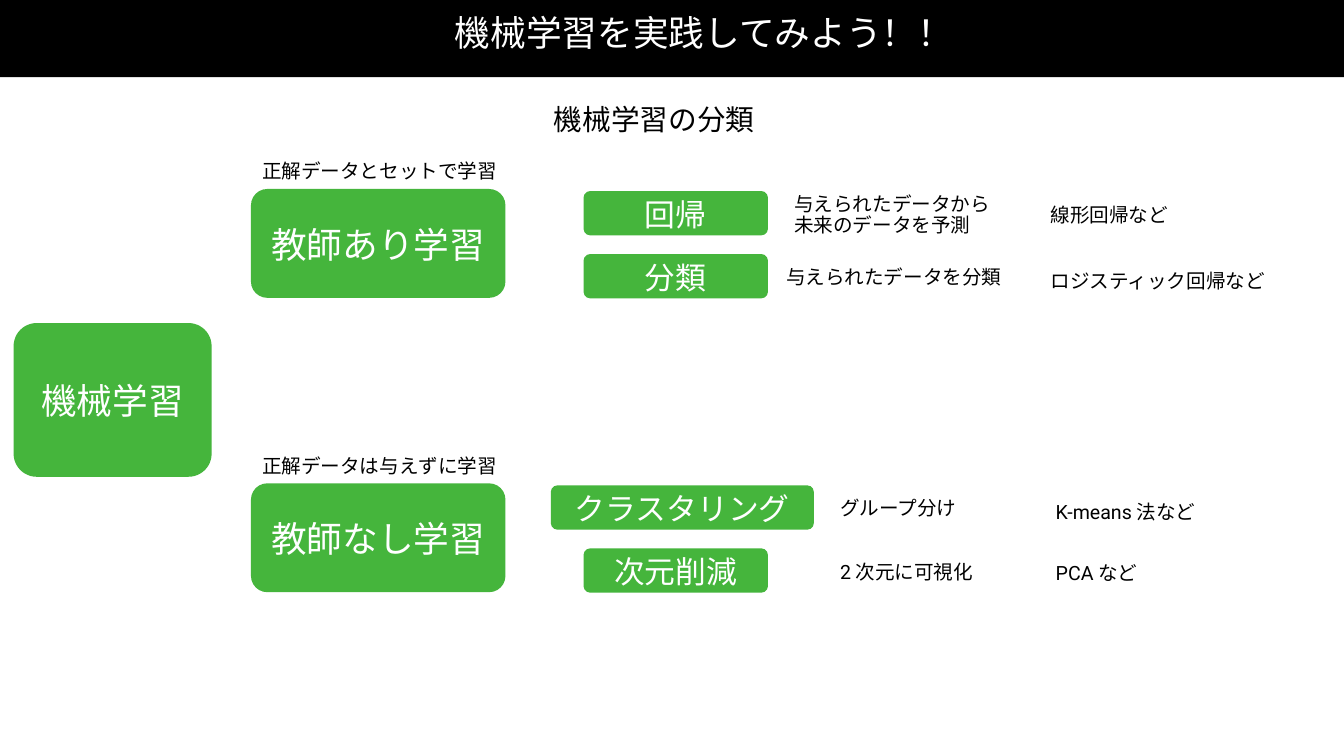
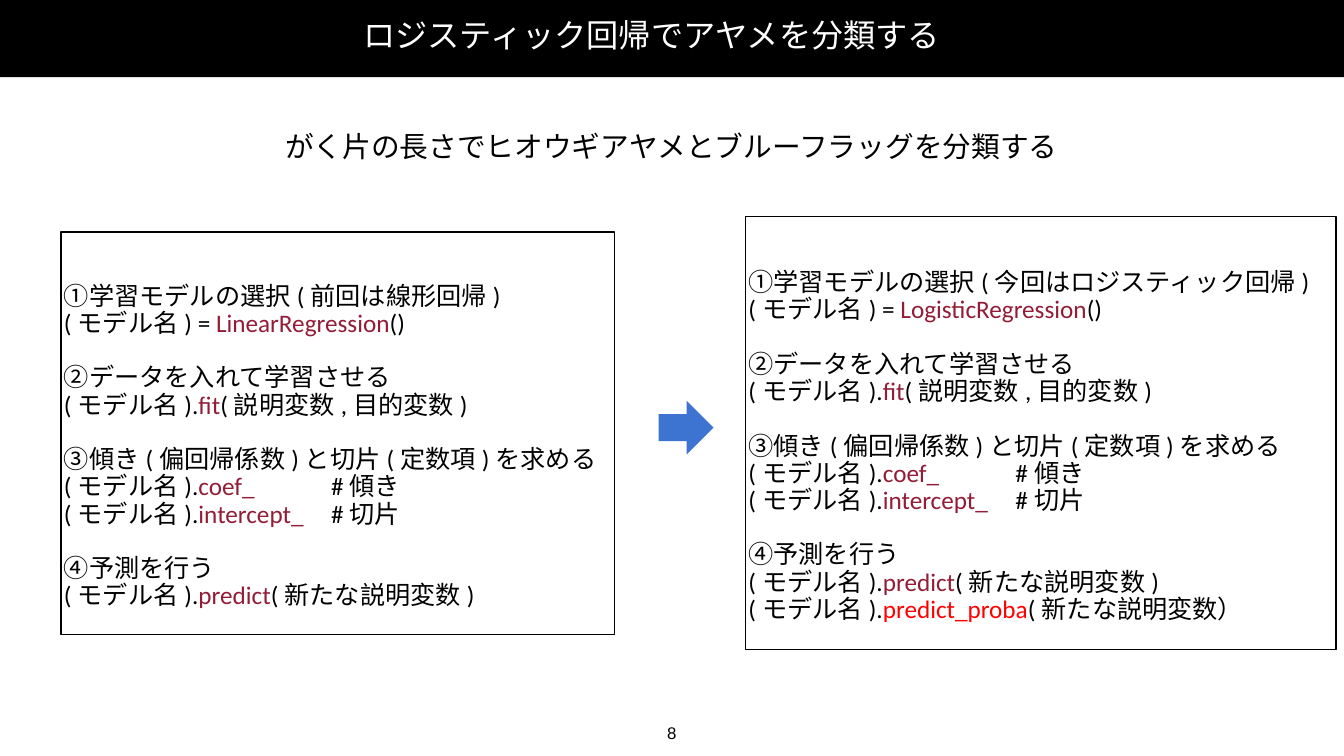
from dataclasses import dataclass

from lxml.etree import SubElement
from pptx import Presentation
from pptx.dml.color import RGBColor
from pptx.enum.shapes import MSO_SHAPE
from pptx.enum.text import MSO_ANCHOR, MSO_AUTO_SIZE, PP_ALIGN
from pptx.oxml.ns import qn
from pptx.util import Inches, Pt


@dataclass(frozen=True)
class Theme:
    black: RGBColor = RGBColor(0, 0, 0)
    white: RGBColor = RGBColor(255, 255, 255)
    green: RGBColor = RGBColor(0x45, 0xB5, 0x3C)
    blue: RGBColor = RGBColor(0x3E, 0x74, 0xD1)
    wine: RGBColor = RGBColor(0x93, 0x1D, 0x36)
    red: RGBColor = RGBColor(255, 0, 0)
    main_font: str = "Calibri"
    note_font: str = "Roboto"
    number_font: str = "Arial"
    card_size: int = 51
    category_size: int = 44
    subtitle_size: int = 41
    code_size: int = 36
    note_size: int = 28
    number_size: int = 24
    line_spacing: float = 0.9
    inset: float = 0.06


THEME = Theme()
SLIDE_WIDTH, SLIDE_HEIGHT = 26.67, 15
CATEGORY_CENTER = 13.41
CATEGORY_PITCH = 1.25
CATEGORY_HEIGHT = 0.88
CODE_STEP_GAP = 39
COMMENT_TAB = 5.3

# heading, top of its card, description
BRANCHES = [
    ("教師あり学習", 3.75, "正解データとセットで学習"),
    ("教師なし学習", 9.59, "正解データは与えずに学習"),
]

# per branch: name, left, width, (note, left, top, width, height), (example, left, top)
CATEGORIES = [
    [
        ("回帰", 11.58, 3.66,
         ("与えられたデータから未来のデータを予測", 15.7, 3.8, 4.03, 0.96),
         ("線形回帰など", 20.79, 4.01)),
        ("分類", 11.58, 3.66,
         ("与えられたデータを分類", 15.54, 5.25, 4.43, 0.54),
         ("ロジスティック回帰など", 20.79, 5.33)),
    ],
    [
        ("クラスタリング", 10.93, 5.22,
         ("グループ分け", 16.61, 9.83, 4.03, 0.54),
         ("K-means法など", 20.89, 9.91)),
        ("次元削減", 11.58, 3.66,
         ("2次元に可視化", 16.61, 11.11, 4.03, 0.54),
         ("PCAなど", 20.89, 11.12)),
    ],
]


def style_span(span, size, font, color):
    span.font.size = Pt(size)
    span.font.name = font
    span.font.color.rgb = color


def prepare_frame(frame, wrap=True, top=THEME.inset, bottom=THEME.inset):
    frame.auto_size = MSO_AUTO_SIZE.NONE
    frame.word_wrap = wrap
    frame.vertical_anchor = MSO_ANCHOR.MIDDLE
    frame.margin_left = frame.margin_right = Inches(THEME.inset)
    frame.margin_top, frame.margin_bottom = Inches(top), Inches(bottom)


def write_line(frame, text, size, font, color, align=PP_ALIGN.LEFT):
    frame.text = text
    para = frame.paragraphs[0]
    para.alignment = align
    para.line_spacing = THEME.line_spacing
    for span in para.runs:
        style_span(span, size, font, color)


def add_block(page, kind, area, fill=None):
    """Add a preset shape without a shadow; without a fill it gets a black outline."""
    block = page.shapes.add_shape(kind, *map(Inches, area))
    block.shadow.inherit = False
    if fill is None:
        block.fill.background()
        block.line.color.rgb = THEME.black
        block.line.width = Pt(2)
    else:
        block.fill.solid()
        block.fill.fore_color.rgb = fill
        block.line.fill.background()
    return block


def add_label(page, text, area, size=THEME.note_size, font=THEME.note_font,
              align=PP_ALIGN.LEFT, wrap=True):
    box = page.shapes.add_textbox(*map(Inches, area))
    prepare_frame(box.text_frame, wrap)
    write_line(box.text_frame, text, size, font, THEME.black, align)


def add_card(page, text, area, size=THEME.card_size):
    card = add_block(page, MSO_SHAPE.ROUNDED_RECTANGLE, area, THEME.green)
    card.adjustments[0] = 0.15
    prepare_frame(card.text_frame, top=0.13, bottom=0)
    write_line(card.text_frame, text, size, THEME.main_font, THEME.white, PP_ALIGN.CENTER)


def add_page(deck, heading, title_area, title_size):
    """Add a page with its title on the black band."""
    page = deck.slides.add_slide(deck.slide_layouts[5])
    band = add_block(page, MSO_SHAPE.RECTANGLE, (0, -0.02, SLIDE_WIDTH, 1.55), THEME.black)
    title = page.shapes.title
    title.element.addprevious(band.element)
    title.left, title.top, title.width, title.height = map(Inches, title_area)
    prepare_frame(title.text_frame)
    write_line(title.text_frame, heading, title_size, THEME.main_font,
               THEME.white, PP_ALIGN.CENTER)
    return page


def model_call(method, after, color=THEME.wine):
    return [("(モデル名).", THEME.black), (method, color), (after, THEME.black)]


def code_steps(model_note, model_class):
    """Return the four steps, each a list of lines made of (text, colour) spans."""
    def heading(text):
        return [(text, THEME.black)]

    return [
        [heading(f"①学習モデルの選択({model_note})"),
         [("(モデル名) = ", THEME.black), (model_class, THEME.wine), ("()", THEME.black)]],
        [heading("②データを入れて学習させる"),
         model_call("fit", "(説明変数,目的変数)")],
        [heading("③傾き(偏回帰係数)と切片(定数項)を求める"),
         model_call("coef_", "\t#傾き"),
         model_call("intercept_", "\t#切片")],
        [heading("④予測を行う"),
         model_call("predict", "(新たな説明変数)")],
    ]


def add_comment_tab(para):
    tabs = SubElement(para._p.get_or_add_pPr(), qn("a:tabLst"))
    SubElement(tabs, qn("a:tab"), pos=str(Inches(COMMENT_TAB)), algn="l")


def add_code_panel(page, area, steps):
    panel = add_block(page, MSO_SHAPE.RECTANGLE, area)
    frame = panel.text_frame
    prepare_frame(frame, top=0.6)
    para = frame.paragraphs[0]
    for step_index, step in enumerate(steps):
        for line_index, line in enumerate(step):
            if step_index or line_index:
                para = frame.add_paragraph()
            if any("\t" in text for text, _ in line):
                add_comment_tab(para)
            para.alignment = PP_ALIGN.LEFT
            para.line_spacing = THEME.line_spacing
            if step_index and not line_index:
                para.space_before = Pt(CODE_STEP_GAP)
            for text, color in line:
                span = para.add_run()
                span.text = text
                style_span(span, THEME.code_size, THEME.main_font, color)


def build_taxonomy(deck):
    page = add_page(deck, "機械学習を実践してみよう！！", (8.77, 0.28, 10.4, 0.83), 51)
    add_label(page, "機械学習の分類", (10.93, 2.04, 4.14, 0.73),
              THEME.subtitle_size, wrap=False)
    add_card(page, "機械学習", (0.27, 6.41, 3.93, 3.05))
    for (heading, top, description), categories in zip(BRANCHES, CATEGORIES):
        add_card(page, heading, (4.98, top, 5.05, 2.16))
        add_label(page, description, (5.14, top - 0.6, 5.05, 0.54))
        for index, (name, left, width, note, example) in enumerate(categories):
            category_top = top + 0.04 + index * CATEGORY_PITCH
            add_card(page, name, (left, category_top, width, CATEGORY_HEIGHT),
                     THEME.category_size)
            add_label(page, note[0], note[1:])
            add_label(page, example[0], (*example[1:], 5.88, 0.54))


def build_code_comparison(deck):
    page = add_page(deck, "ロジスティック回帰でアヤメを分類する", (7.07, 0.29, 11.72, 0.89), 46)
    add_label(page, "がく片の長さでヒオウギアヤメとブルーフラッグを分類する",
              (5.51, 2.54, 15.64, 0.8), THEME.subtitle_size, THEME.main_font,
              PP_ALIGN.CENTER, wrap=False)
    linear = code_steps("前回は線形回帰", "LinearRegression")
    logistic = code_steps("今回はロジスティック回帰", "LogisticRegression")
    logistic[-1].append(model_call("predict_proba", "(新たな説明変数）", THEME.red))
    add_code_panel(page, (1.21, 4.6, 10.98, 7.99), linear)
    add_code_panel(page, (14.79, 4.3, 11.72, 8.59), logistic)
    add_block(page, MSO_SHAPE.RIGHT_ARROW, (13.07, 7.95, 1.09, 1.07), THEME.blue)
    add_label(page, "8", (13.08, 14.31, 0.5, 0.5), THEME.number_size,
              THEME.number_font, PP_ALIGN.CENTER, wrap=False)


def main():
    deck = Presentation()
    deck.slide_width, deck.slide_height = Inches(SLIDE_WIDTH), Inches(SLIDE_HEIGHT)
    build_taxonomy(deck)
    build_code_comparison(deck)
    deck.save("out.pptx")


if __name__ == "__main__":
    main()
